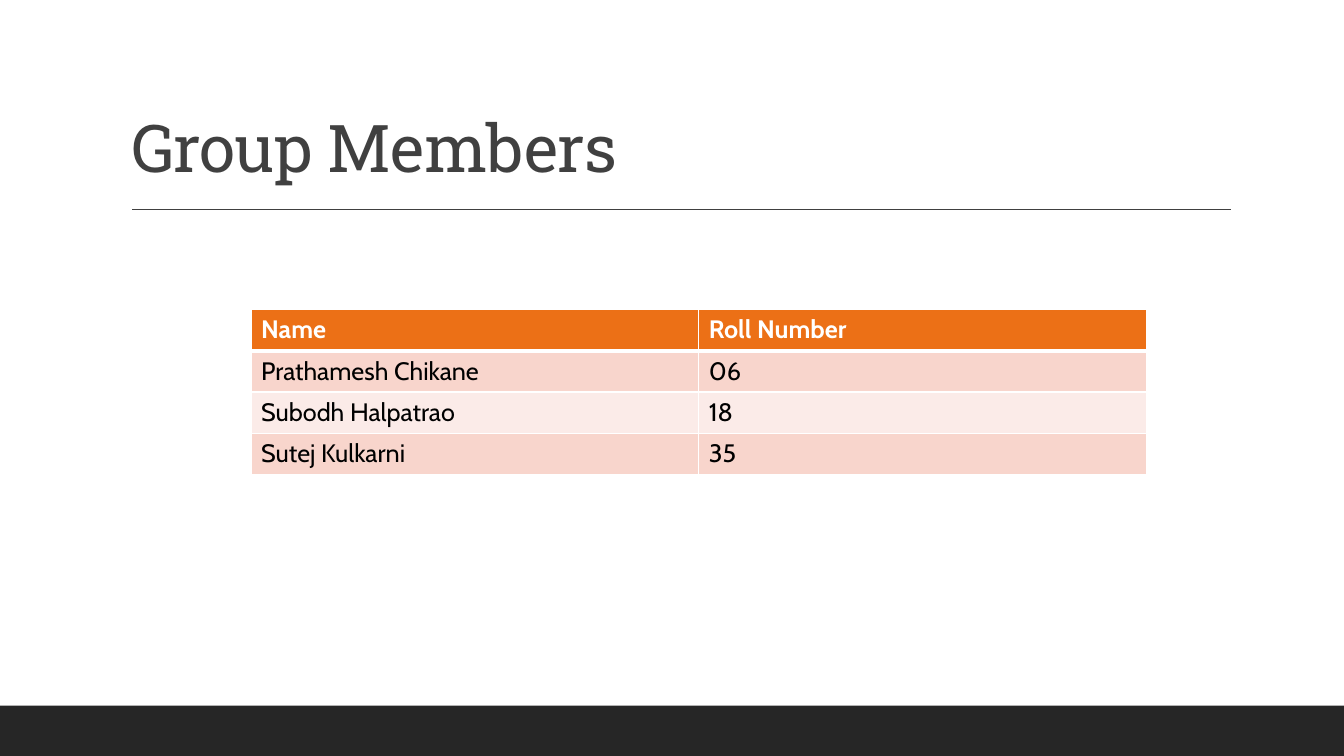
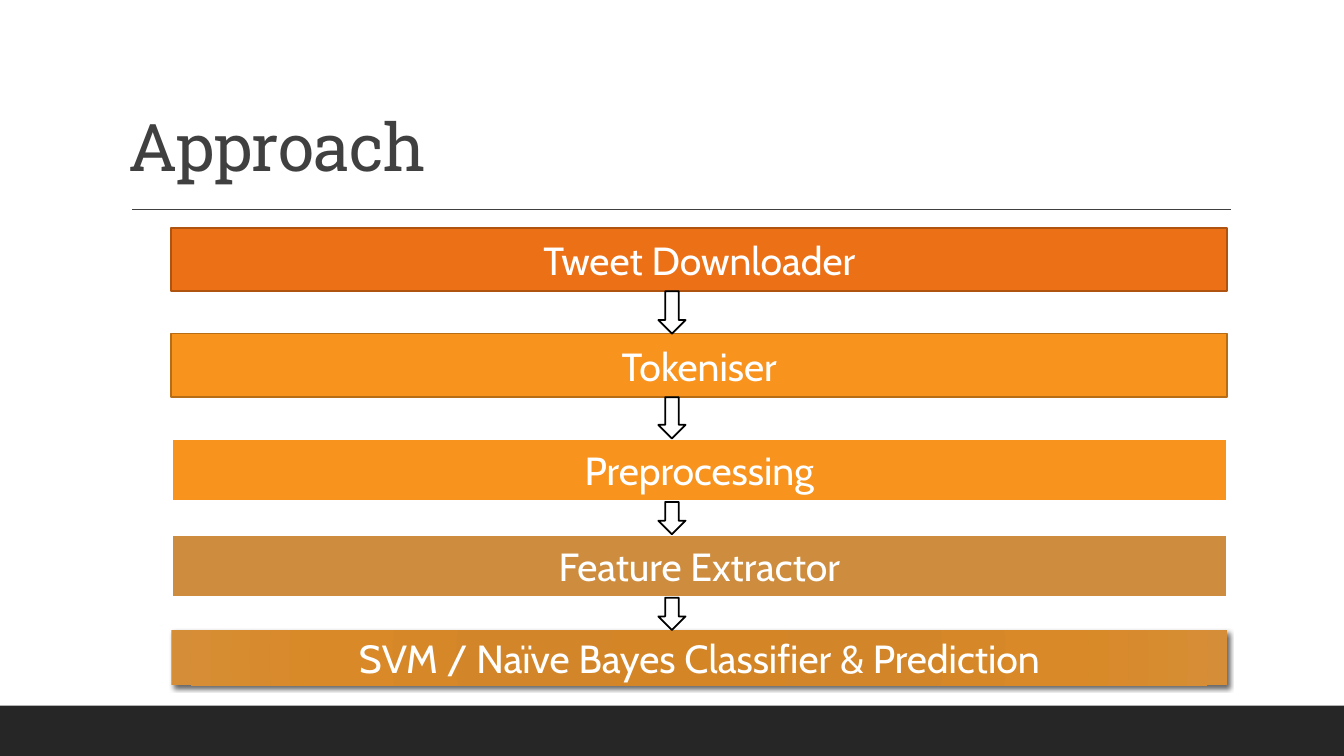
from dataclasses import dataclass
from itertools import pairwise
from typing import Optional

from pptx import Presentation
from pptx.dml.color import RGBColor
from pptx.enum.shapes import MSO_CONNECTOR, MSO_SHAPE
from pptx.enum.text import MSO_ANCHOR, MSO_AUTO_SIZE, PP_ALIGN
from pptx.oxml import parse_xml
from pptx.oxml.ns import nsdecls, qn
from pptx.util import Inches, Pt

# Shared style
COLOURS = {
    "white": "FFFFFF", "black": "000000", "band": "262626", "title": "404040",
    "orange": "EC7016", "orange edge": "AF5310",
    "amber": "F8931D", "amber edge": "B76D15", "tan": "CE8D3E",
    "row odd": "F8D5CC", "row even": "FBEBE8",
}
TITLE_FONT, BODY_FONT = "Roboto Slab", "Cabin"
WIDTH, HEIGHT = 13.33, 7.5
BAND_HEIGHT = HEIGHT / 15
RULE_LEFT, RULE_RIGHT, RULE_TOP = 1.31, 12.21, 2.08

# Content
MEMBERS = [
    ("Name", "Roll Number"),
    ("Prathamesh Chikane", "06"),
    ("Subodh Halpatrao", "18"),
    ("Sutej Kulkarni", "35"),
]
TABLE_LEFT, TABLE_TOP, COLUMN_WIDTH, ROW_HEIGHT = 2.49, 3.07, 4.44, 0.41
STEP_LEFT, STEP_WIDTH = 1.7, 10.47
ARROW_LEFT, ARROW_WIDTH = 6.53, 0.27
GLOW_STOPS = [(0, "D48526"), (34, "D38629"), (70, "D98927"), (100, "D58E37")]


@dataclass(frozen=True)
class Step:
    label: str
    top: float
    fill: Optional[str] = None  # None gives the shaded gradient finish
    edge: str = "white"
    edge_width: float = 2
    height: float = 0.63

    @property
    def bottom(self) -> float:
        return self.top + self.height


STEPS = [
    Step("Tweet Downloader", 2.26, "orange", "orange edge", 1.25),
    Step("Tokeniser", 3.31, "amber", "amber edge", 1.25),
    Step("Preprocessing", 4.35, "amber"),
    Step("Feature Extractor", 5.3, "tan"),
    Step("SVM / Naïve Bayes Classifier & Prediction", 6.25, height=0.55),
]


def colour(name: str) -> RGBColor:
    return RGBColor.from_string(COLOURS[name])


def format_text(frame, font: str, size: float, ink: str, bold: bool = False) -> None:
    for para in frame.paragraphs:
        for span in para.runs:
            span.font.name, span.font.size, span.font.bold = font, Pt(size), bold
            span.font.color.rgb = colour(ink)


def add_box(page, kind, left: float, top: float, width: float, height: float,
            fill: Optional[str], edge: Optional[str] = None, edge_width: float = 1):
    box = page.shapes.add_shape(kind, *map(Inches, (left, top, width, height)))
    box.shadow.inherit = False
    if fill:
        box.fill.solid()
        box.fill.fore_color.rgb = colour(fill)
    else:
        box.fill.background()
    if edge:
        box.line.color.rgb = colour(edge)
        box.line.width = Pt(edge_width)
    else:
        box.line.fill.background()
    return box


def add_page(deck, title: str, left: float, top: float):
    """Add a slide with the title, the rule below it and the bottom band."""
    page = deck.slides.add_slide(deck.slide_layouts[5])
    add_box(page, MSO_SHAPE.RECTANGLE, 0, HEIGHT - BAND_HEIGHT, WIDTH, BAND_HEIGHT, "band")
    rule = page.shapes.add_connector(
        MSO_CONNECTOR.STRAIGHT, *map(Inches, (RULE_LEFT, RULE_TOP, RULE_RIGHT, RULE_TOP)))
    rule.line.color.rgb = colour("title")
    rule.line.width = Pt(1)
    rule._element.spPr.append(parse_xml(f"<a:effectLst {nsdecls('a')}/>"))

    box = page.shapes.title
    box.left, box.top, box.width, box.height = map(Inches, (left, top, 11, 1.59))
    frame = box.text_frame
    frame.text = title
    frame.word_wrap = True
    frame.auto_size = MSO_AUTO_SIZE.NONE
    frame.vertical_anchor = MSO_ANCHOR.BOTTOM
    para = frame.paragraphs[0]
    para.alignment, para.line_spacing = PP_ALIGN.LEFT, 0.9
    format_text(frame, TITLE_FONT, 47, "title")
    para.runs[0]._r.get_or_add_rPr().set("spc", "-50")
    return page


def set_borders(cell, top: float, bottom: float) -> None:
    for side, width in (("L", 1), ("R", 1), ("T", top), ("B", bottom)):
        cell._tc.get_or_add_tcPr().append(parse_xml(
            f'<a:ln{side} {nsdecls("a")} w="{Pt(width)}"><a:solidFill>'
            f'<a:srgbClr val="{COLOURS["white"]}"/></a:solidFill></a:ln{side}>'))


def add_members(page) -> None:
    rows, columns = len(MEMBERS), len(MEMBERS[0])
    table = page.shapes.add_table(rows, columns, *map(Inches, (
        TABLE_LEFT, TABLE_TOP, columns * COLUMN_WIDTH, rows * ROW_HEIGHT))).table
    table.horz_banding = False
    for row, values in enumerate(MEMBERS):
        header = row == 0
        fill = "orange" if header else "row odd" if row % 2 else "row even"
        for column, value in enumerate(values):
            cell = table.cell(row, column)
            cell.text_frame.text = value
            format_text(cell.text_frame, BODY_FONT, 18, "white" if header else "black", header)
            set_borders(cell, top=3 if row == 1 else 1, bottom=3 if header else 1)
            cell.fill.solid()
            cell.fill.fore_color.rgb = colour(fill)


def add_gradient_and_shadow(box) -> None:
    properties = box._element.spPr
    stops = "".join(f'<a:gs pos="{share * 1000}"><a:srgbClr val="{tint}"/></a:gs>'
                    for share, tint in GLOW_STOPS)
    properties.replace(properties.find(qn("a:noFill")), parse_xml(
        f'<a:gradFill {nsdecls("a")} rotWithShape="1"><a:gsLst>{stops}</a:gsLst>'
        '<a:path path="circle"><a:fillToRect l="100000" t="100000" r="100000" b="100000"/>'
        '</a:path></a:gradFill>'))
    properties.find(qn("a:effectLst")).append(parse_xml(
        f'<a:outerShdw {nsdecls("a")} blurRad="{Pt(3.5)}" dist="{Pt(2)}" dir="2700000" '
        f'algn="br" rotWithShape="0"><a:srgbClr val="{COLOURS["black"]}">'
        '<a:alpha val="60000"/></a:srgbClr></a:outerShdw>'))


def add_step(page, step: Step) -> None:
    box = add_box(page, MSO_SHAPE.RECTANGLE, STEP_LEFT, step.top, STEP_WIDTH, step.height,
                  step.fill, step.edge if step.fill else None, step.edge_width)
    if step.fill is None:
        add_gradient_and_shadow(box)
    frame = box.text_frame
    frame.text = step.label
    frame.vertical_anchor = MSO_ANCHOR.MIDDLE
    frame.paragraphs[0].alignment = PP_ALIGN.CENTER
    format_text(frame, BODY_FONT, 28, "white")


def add_pipeline(page) -> None:
    for step in STEPS:
        add_step(page, step)
    # Arrows fill the gaps between neighbouring steps
    for upper, lower in pairwise(STEPS):
        add_box(page, MSO_SHAPE.DOWN_ARROW, ARROW_LEFT, upper.bottom, ARROW_WIDTH,
                lower.top - upper.bottom, "white", "black", 1.25)


def main() -> None:
    deck = Presentation()
    deck.slide_width, deck.slide_height = Inches(WIDTH), Inches(HEIGHT)
    add_members(add_page(deck, "Group Members", 1.2, 0.31))
    add_pipeline(add_page(deck, "Approach", 1.17, 0.3))
    deck.save("out.pptx")


if __name__ == "__main__":
    main()
